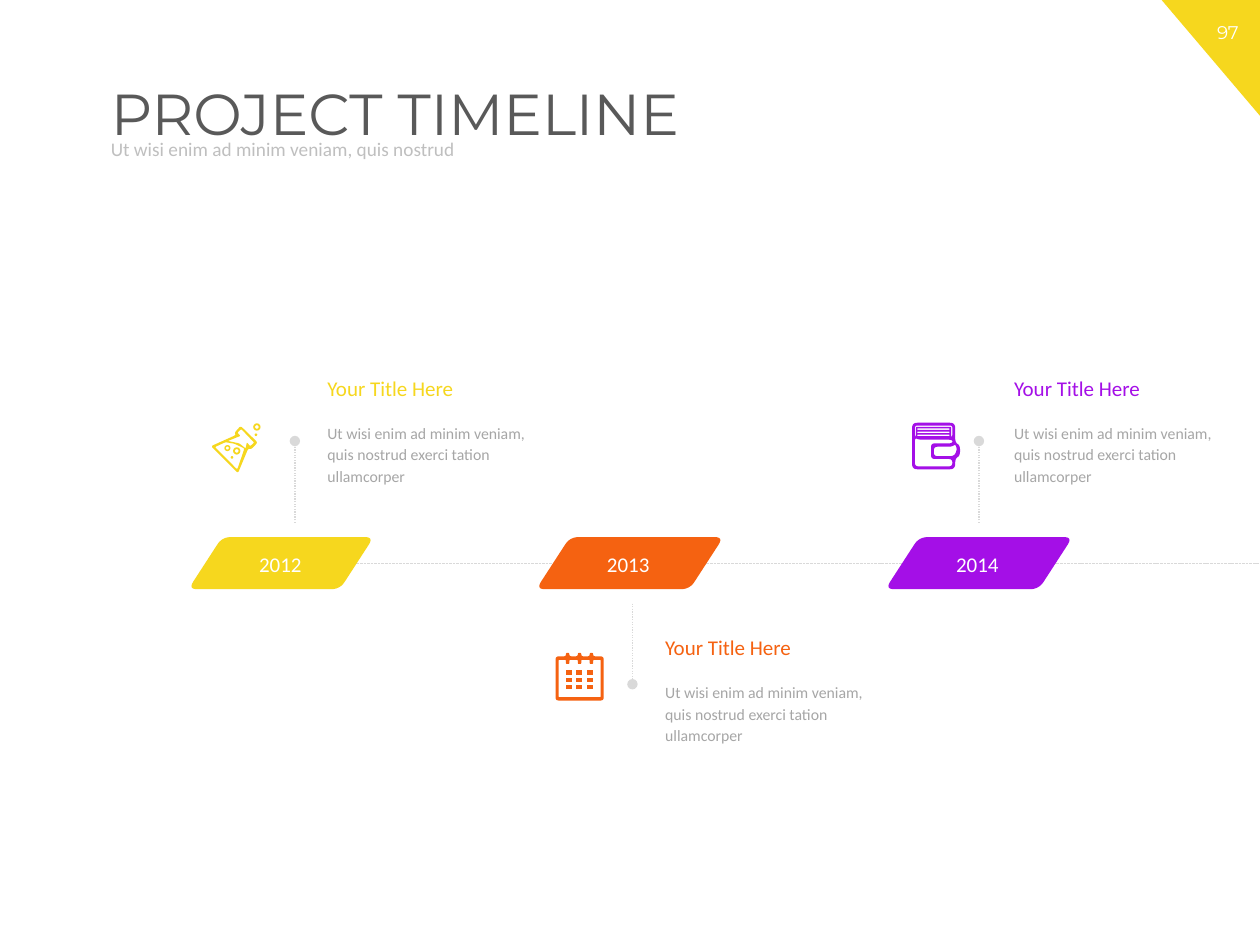
from lxml import etree
from pptx import Presentation
from pptx.dml.color import RGBColor
from pptx.enum.dml import MSO_LINE
from pptx.enum.shapes import MSO_CONNECTOR, MSO_SHAPE
from pptx.enum.text import MSO_ANCHOR, PP_ALIGN
from pptx.oxml.ns import qn
from pptx.util import Pt

YELLOW, ORANGE, PURPLE = "F6D71E", "F56211", "A40FE7"
WHITE, DARK, PALE, GREY, RULE = "FFFFFF", "595959", "BFBFBF", "A6A6A6", "D9D9D9"
HEADING_FONT, BODY_FONT = "Montserrat", "Calibri"
LEFT, CENTER = PP_ALIGN.LEFT, PP_ALIGN.CENTER
TOP, MIDDLE = MSO_ANCHOR.TOP, MSO_ANCHOR.MIDDLE
STRAIGHT = MSO_CONNECTOR.STRAIGHT
TRIANGLE, OVAL, DONUT = MSO_SHAPE.RIGHT_TRIANGLE, MSO_SHAPE.OVAL, MSO_SHAPE.DONUT
DASHED, DOTTED = MSO_LINE.SQUARE_DOT, MSO_LINE.ROUND_DOT
CORNER_STEPS = 6

SLAB_TOP, SLAB_HEIGHT, SLAB_SLANT, SLAB_ROUNDING = 306.9, 29.8, 19.3, 5
DETAIL = "Ut wisi enim ad minim veniam, quis nostrud exerci tation ullamcorper"
MILESTONES = [
    ("2012", YELLOW, 109.4, 102.4, 168.5, (298.8, 252), 180, 211),
    ("2013", ORANGE, 308.2, 103.5, 361.4, (344.9, 391), 373, 359.3),
    ("2014", PURPLE, 507.7, 103.5, 559.4, (298.8, 252), 572.4, 211),
]


def rgb(hex_color):
    """Turn a hex string into a colour."""
    return RGBColor.from_string(hex_color)


def paint(shape, color):
    """Give a shape a flat fill without line or shadow."""
    shape.shadow.inherit = False
    shape.fill.solid()
    shape.fill.fore_color.rgb = rgb(color)
    shape.line.fill.background()


def add_preset(slide, kind, left, top, width, height, color):
    """Add a flat preset shape."""
    shape = slide.shapes.add_shape(kind, Pt(left), Pt(top), Pt(width), Pt(height))
    paint(shape, color)
    return shape


def add_text(slide, box, text, size, color, font=BODY_FONT, align=LEFT,
             anchor=TOP, wrap=True, line_spacing=None, space_before=0):
    """Add a text box holding one run."""
    frame = slide.shapes.add_textbox(*map(Pt, box)).text_frame
    frame.word_wrap = wrap
    frame.vertical_anchor = anchor
    paragraph = frame.paragraphs[0]
    paragraph.alignment = align
    paragraph.space_before = Pt(space_before)
    if line_spacing:
        paragraph.line_spacing = line_spacing
    run = paragraph.add_run()
    run.text = text
    run.font.name = font
    run.font.size = Pt(size)
    run.font.color.rgb = rgb(color)


def add_rule(slide, start, end, width, dash, dot_at_end=False):
    """Add a broken grey line, optionally ending in a dot."""
    rule = slide.shapes.add_connector(STRAIGHT, *map(Pt, start + end))
    rule.line.color.rgb = rgb(RULE)
    rule.line.width = Pt(width)
    rule.line.dash_style = dash
    properties = rule._element.spPr
    if dot_at_end:
        etree.SubElement(properties.find(qn("a:ln")), qn("a:tailEnd"), type="oval")
    etree.SubElement(properties, qn("a:effectLst"))


def toward(start, end, rounding):
    """Return the point where the rounding of a corner meets its edge."""
    dx, dy = end[0] - start[0], end[1] - start[1]
    share = min(0.5, rounding / (dx * dx + dy * dy) ** 0.5)
    return start[0] + dx * share, start[1] + dy * share


def round_corners(points, rounding):
    """Replace each corner of a polygon by a short curve."""
    if not rounding:
        return points
    curve = []
    for i, corner in enumerate(points):
        a = toward(corner, points[i - 1], rounding)
        b = toward(corner, points[(i + 1) % len(points)], rounding)
        for step in range(CORNER_STEPS + 1):
            t = step / CORNER_STEPS
            curve.append(tuple((1 - t) ** 2 * p + 2 * t * (1 - t) * q + t * t * r
                               for p, q, r in zip(a, corner, b)))
    return curve


def add_outline(slide, contours, color):
    """Add a flat freeform from (points, rounding) contours; inner ones are holes."""
    builder = None
    for points, rounding in contours:
        first, *rest = [(Pt(x), Pt(y)) for x, y in round_corners(points, rounding)]
        if builder is None:
            builder = slide.shapes.build_freeform(*first, scale=1.0)
        else:
            builder.move_to(*first)
        builder.add_line_segments(rest, close=True)
    paint(builder.convert_to_shape(), color)


def rectangle(left, top, right, bottom):
    """Return the corners of a rectangle."""
    return [(left, top), (right, top), (right, bottom), (left, bottom)]


def add_header(slide):
    """Add the page corner, the title and the subtitle."""
    add_preset(slide, TRIANGLE, 663.8, 0, 56.2, 66.2, YELLOW).rotation = 180
    add_text(slide, (683.3, 8.6, 36.7, 20), "97", 10.5, WHITE, HEADING_FONT, CENTER)
    add_text(slide, (56.2, 45.4, 638, 52.6), "PROJECT TIMELINE", 33, DARK,
             HEADING_FONT, line_spacing=0.9)
    add_text(slide, (56.2, 76.3, 519, 18.7), "Ut wisi enim ad minim veniam, quis nostrud",
             11, PALE, anchor=MIDDLE, line_spacing=0.9, space_before=9)


def add_milestone(slide, year, color, left, width, stem_x, stem, text_left, text_top):
    """Add a year slab, its stem and its description."""
    overhang = 0.35 * SLAB_ROUNDING
    west, east = left - overhang, left + width + overhang
    bottom = SLAB_TOP + SLAB_HEIGHT
    slab = [(west + SLAB_SLANT, SLAB_TOP), (east, SLAB_TOP),
            (east - SLAB_SLANT, bottom), (west, bottom)]
    add_outline(slide, [(slab, SLAB_ROUNDING)], color)
    add_text(slide, (left + 31, 311.8, 39.6, 21.8), year, 12, WHITE,
             align=CENTER, wrap=False)
    add_rule(slide, (stem_x, stem[0]), (stem_x, stem[1]), 0.75, DOTTED, True)
    add_text(slide, (text_left, text_top, 93.6, 21.8), "Your Title Here", 12, color)
    add_text(slide, (text_left, text_top + 25.9, 137.5, 44.6), DETAIL, 9, GREY,
             line_spacing=1.14, space_before=10)


def add_flask(slide, color):
    """Add the flask icon with its bubbles."""
    glass = [(134.1, 247.3), (137.5, 243.4), (147.3, 252.9), (143.5, 256.8),
             (141.9, 256.3), (136, 270.4), (120.6, 255), (134.8, 248.6)]
    neck = [(137.5, 249.1), (135.7, 247.3), (137.9, 245.2), (145.3, 253),
            (142.9, 255), (141.1, 252.7), (140.4, 256.3), (136.8, 253.4), (130.3, 252)]
    liquid = [(122.8, 255.5), (128.9, 252.7), (134, 253.6), (139.7, 256.3), (135.6, 268.3)]
    add_outline(slide, [(glass, 1.5), (neck, 0.8), (liquid, 1)], color)
    for left, top, size in [(133.2, 255.6, 4.2), (144.7, 241.9, 4.2), (128.2, 254.3, 3.5)]:
        add_preset(slide, DONUT, left, top, size, size, color)
    for left, top in [(131.8, 260.6), (145.5, 247.7)]:
        add_preset(slide, OVAL, left, top, 1.5, 1.5, color)


def pegged_edge(edge, peg_end):
    """Return a horizontal edge, left to right, interrupted by three pegs."""
    return [point for x in (324.4, 331.2, 338)
            for point in [(x - 1, edge), (x - 1, peg_end), (x + 1, peg_end), (x + 1, edge)]]


def add_calendar(slide, color):
    """Add the calendar icon with its grid of days."""
    outer = [(317.5, 375.1), *pegged_edge(375.1, 373), *rectangle(317.5, 375.1, 345, 400.3)[1:]]
    inner = [(319.2, 377), *pegged_edge(377, 379.4), *rectangle(319.2, 377, 343.3, 398.4)[1:]]
    add_outline(slide, [(outer, 1.8), (inner, 0.7)], color)
    for column in range(3):
        for row in range(3):
            x, y = 323.3 + 6.1 * column, 383 + 4.2 * row
            add_outline(slide, [(rectangle(x, y, x + 3.4, y + 2.6), 0)], color)


def add_wallet(slide, color):
    """Add the wallet icon."""
    leather = [(545.8, 253), (545.8, 241.6), (521.2, 241.6), (521.2, 268.2),
               (545.8, 268.2), (545.8, 262), (548.6, 260.5), (548.6, 254.5)]
    body = [(522.8, 250.2), (525, 251.3), (544.2, 251.3), (544.2, 253.4), (532, 253.4),
            (532, 262.3), (544.2, 262.3), (544.2, 266.6), (522.8, 266.6)]
    clasp = [(533.6, 255.3), (544, 255.3), (546, 253.8), (546.9, 257.2),
             (545.2, 260.7), (533.6, 260.7)]
    pocket = rectangle(522.8, 243.2, 544.2, 249.8)
    notes = rectangle(523.4, 243.9, 543.5, 249.8)
    stripes = [rectangle(524.2, y, 542.5, y + 0.9) for y in (244.8, 246.7, 248.4)]
    contours = [(leather, 3), (body, 2.2), (clasp, 2.2), (pocket, 1.5), (notes, 0.7)]
    add_outline(slide, contours + [(stripe, 0) for stripe in stripes], color)


def main():
    """Build the timeline slide."""
    deck = Presentation()
    deck.slide_width, deck.slide_height = Pt(720), Pt(540)
    slide = deck.slides.add_slide(deck.slide_layouts[6])
    add_header(slide)
    add_rule(slide, (201.6, 321.8), (720, 321.8), 0.5, DASHED)
    for milestone in MILESTONES:
        add_milestone(slide, *milestone)
    add_flask(slide, YELLOW)
    add_calendar(slide, ORANGE)
    add_wallet(slide, PURPLE)
    deck.save("out.pptx")


if __name__ == "__main__":
    main()
